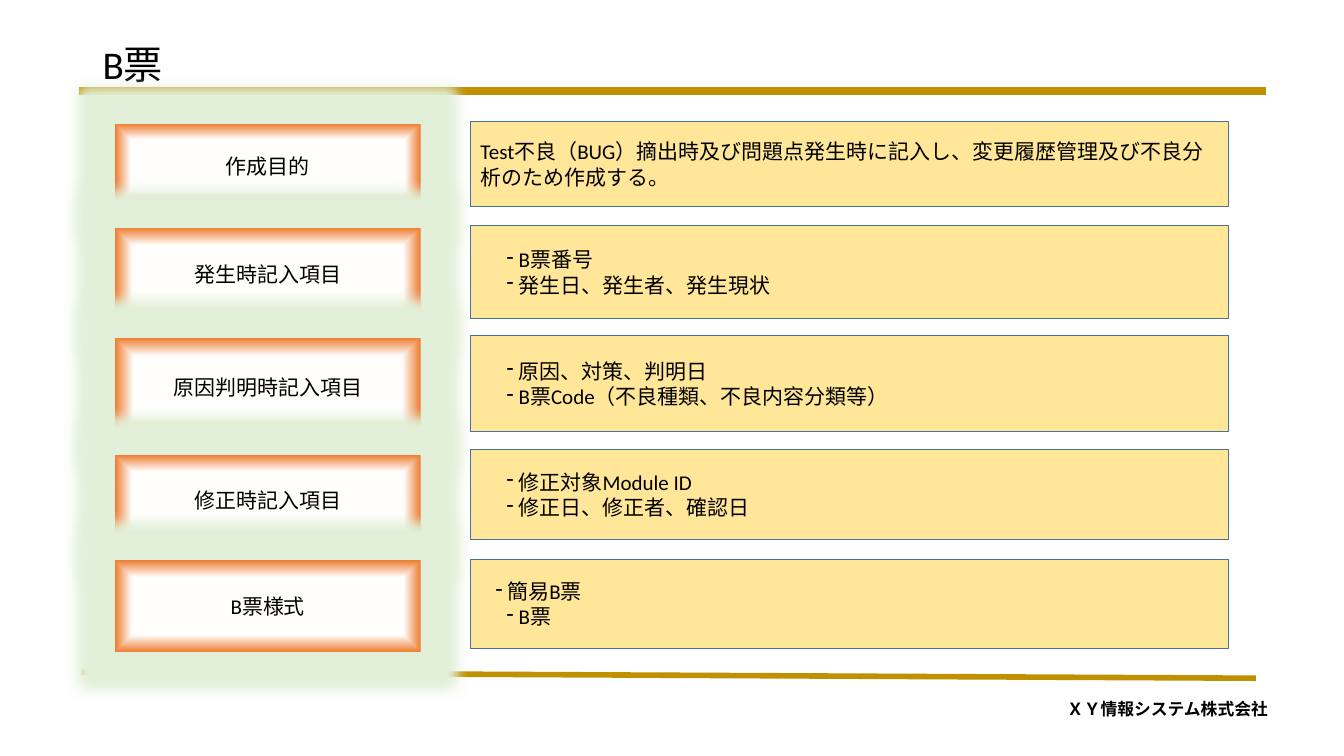
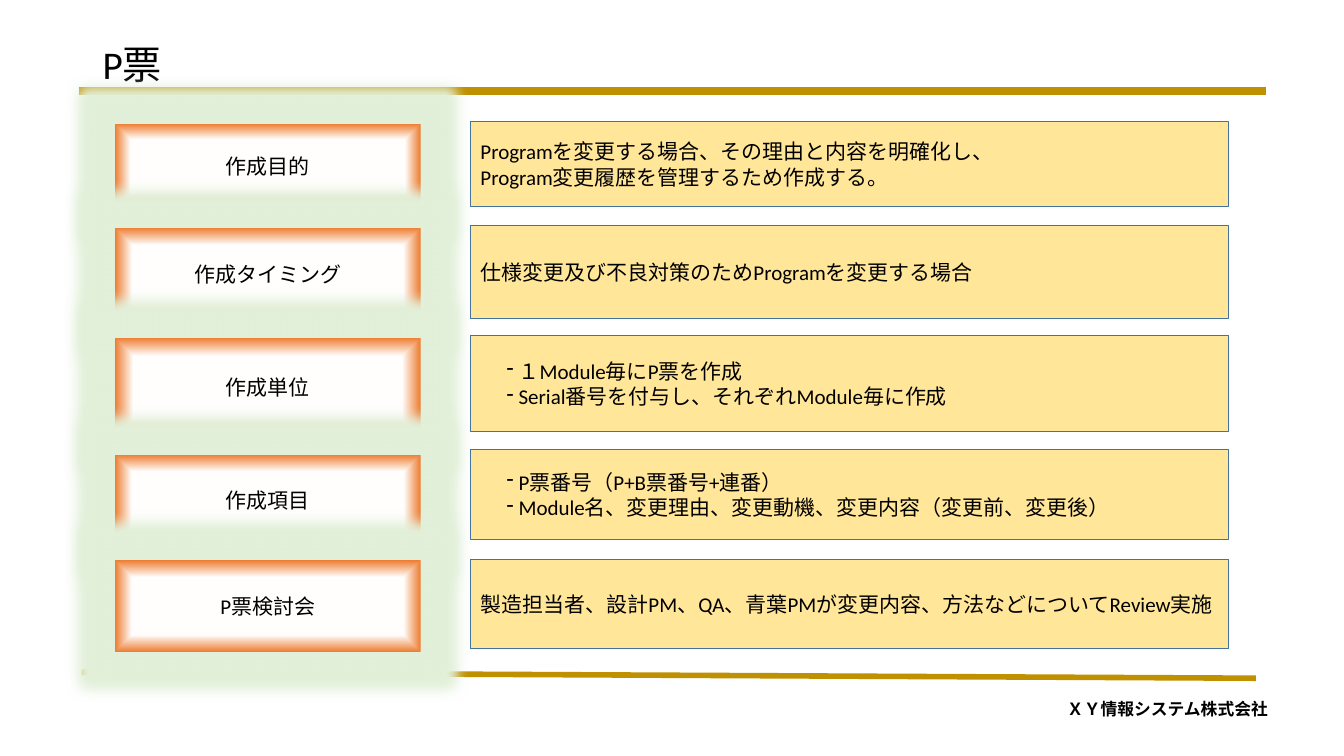
import pptx
import pptx.util
import pptx.dml.color
import pptx.enum.shapes
import pptx.enum.text
import pptx.oxml
import pptx.oxml.ns
import lxml.etree

Cm = pptx.util.Cm
Pt = pptx.util.Pt
RGBColor = pptx.dml.color.RGBColor
ALIGN = pptx.enum.text.PP_ALIGN
ANCHOR = pptx.enum.text.MSO_ANCHOR
RECTANGLE = pptx.enum.shapes.MSO_SHAPE.RECTANGLE
STRAIGHT = pptx.enum.shapes.MSO_CONNECTOR.STRAIGHT
qn = pptx.oxml.ns.qn
NS = pptx.oxml.ns.nsdecls("a")

BLACK = RGBColor(0x00, 0x00, 0x00)
GOLD = RGBColor(0xBF, 0x90, 0x00)
ORANGE = RGBColor(0xED, 0x7D, 0x31)
CREAM = RGBColor(0xFF, 0xFE, 0xFD)
YELLOW = RGBColor(0xFF, 0xE6, 0x99)
BLUE = RGBColor(0x43, 0x73, 0x9E)
PALE_GREEN = RGBColor(0xE2, 0xF0, 0xD9)
FONT = "Calibri"
COMPANY = "ＸＹ情報システム株式会社"

# Rules: start x, start y, end x, end y (cm), width (pt)
RULES = [(1.98, 2.29, 31.9, 2.29, 6.25), (2.06, 16.94, 31.65, 17.09, 4)]

# Rows: label top, label height, detail top, detail height (cm)
ROWS = [
    (3.12, 2.13, 3.07, 2.13),
    (5.74, 2.36, 5.69, 2.34),
    (8.51, 2.51, 8.46, 2.41),
    (11.46, 2.29, 11.33, 2.26),
    (14.12, 2.31, 14.1, 2.24),
]
LABEL_LEFT, LABEL_WIDTH = Cm(2.9), Cm(7.7)
DETAIL_LEFT, DETAIL_WIDTH = Cm(11.86), Cm(19.1)

# Detail lines: (position of the dash in cm or None for plain text, text)
DASH, OUTER_DASH = 0.66, 0.38
DASH_GAP = 0.3
SLIDES = [
    ("B票", [
        ("作成目的", [(None, "Test不良（BUG）摘出時及び問題点発生時に記入し、変更履歴管理及び不良分析のため作成する。")]),
        ("発生時記入項目", [(DASH, "B票番号"), (DASH, "発生日、発生者、発生現状")]),
        ("原因判明時記入項目", [(DASH, "原因、対策、判明日"),
                       (DASH, "B票Code（不良種類、不良内容分類等）")]),
        ("修正時記入項目", [(DASH, "修正対象Module ID"), (DASH, "修正日、修正者、確認日")]),
        ("B票様式", [(OUTER_DASH, "簡易B票"), (DASH, "B票")]),
    ]),
    ("P票", [
        ("作成目的", [(None, "Programを変更する場合、その理由と内容を明確化し、"),
                  (None, "Program変更履歴を管理するため作成する。")]),
        ("作成タイミング", [(None, "仕様変更及び不良対策のためProgramを変更する場合")]),
        ("作成単位", [(DASH, "１Module毎にP票を作成"),
                  (DASH, "Serial番号を付与し、それぞれModule毎に作成")]),
        ("作成項目", [(DASH, "P票番号（P+B票番号+連番）"),
                  (DASH, "Module名、変更理由、変更動機、変更内容（変更前、変更後）")]),
        ("P票検討会", [(None, "製造担当者、設計PM、QA、青葉PMが変更内容、方法などについてReview実施")]),
    ]),
]


def write(frame, lines, size, align=ALIGN.LEFT, anchor=ANCHOR.MIDDLE, bold=False, spacing=1.0):
    """Fill a text frame with (dash position, text) lines in one style."""
    frame.word_wrap = True
    frame.vertical_anchor = anchor
    frame.text = "\n".join(text for _, text in lines)
    for paragraph, (dash, _) in zip(frame.paragraphs, lines):
        paragraph.alignment = align
        paragraph.line_spacing = spacing
        if dash is not None:
            properties = paragraph._p.get_or_add_pPr()
            properties.set("marL", str(Cm(dash + DASH_GAP)))
            properties.set("indent", str(-Cm(DASH_GAP)))
            properties.append(pptx.oxml.parse_xml(f'<a:buChar {NS} char="-"/>'))
        for run in paragraph.runs:
            run.font.name = FONT
            run.font.size = Pt(size)
            run.font.bold = bold
            run.font.color.rgb = BLACK


def add_glowing_label(slide, top, height, text):
    label = slide.shapes.add_shape(RECTANGLE, LABEL_LEFT, Cm(top), LABEL_WIDTH, Cm(height))
    label.shadow.inherit = False
    label.line.fill.background()
    label.fill.gradient()
    for stop, position, color in zip(label.fill.gradient_stops, (0.63, 1), (CREAM, ORANGE)):
        stop.position = position
        stop.color.rgb = color
    # The colours run from the centre to the edges
    direction = label._element.spPr.find(".//" + qn("a:lin"))
    direction.getparent().replace(direction, pptx.oxml.parse_xml(
        f'<a:path {NS} path="shape"><a:fillToRect l="50000" t="50000" r="50000" b="50000"/></a:path>'))
    label._element.spPr.find(qn("a:effectLst")).append(pptx.oxml.parse_xml(
        f'<a:glow {NS} rad="{Pt(18)}"><a:srgbClr val="{PALE_GREEN}"/></a:glow>'))
    write(label.text_frame, [(None, text)], 15, align=ALIGN.CENTER)


deck = pptx.Presentation()
deck.slide_width, deck.slide_height = Cm(33.87), Cm(19.05)
title_only = deck.slide_layouts[5]

for heading, items in SLIDES:
    slide = deck.slides.add_slide(title_only)
    title = slide.shapes.title
    title.left, title.top, title.width, title.height = Cm(2.33), Cm(0.64), Cm(29.21), Cm(2.08)
    write(title.text_frame, [(None, heading)], 28, spacing=0.9)

    for x1, y1, x2, y2, width in RULES:
        rule = slide.shapes.add_connector(STRAIGHT, Cm(x1), Cm(y1), Cm(x2), Cm(y2))
        rule.line.color.rgb = GOLD
        rule.line.width = Pt(width)
        lxml.etree.SubElement(rule._element.spPr, qn("a:effectLst"))

    company = slide.shapes.add_textbox(Cm(26.64), Cm(17.55), Cm(6.17), Cm(1.14))
    write(company.text_frame, [(None, COMPANY)], 12, anchor=ANCHOR.TOP, bold=True, spacing=0.9)

    for (label_top, label_height, detail_top, detail_height), (name, lines) in zip(ROWS, items):
        add_glowing_label(slide, label_top, label_height, name)
        detail = slide.shapes.add_shape(
            RECTANGLE, DETAIL_LEFT, Cm(detail_top), DETAIL_WIDTH, Cm(detail_height))
        detail.shadow.inherit = False
        detail.fill.solid()
        detail.fill.fore_color.rgb = YELLOW
        detail.line.color.rgb = BLUE
        detail.line.width = Pt(1)
        write(detail.text_frame, lines, 15)

deck.save("out.pptx")
